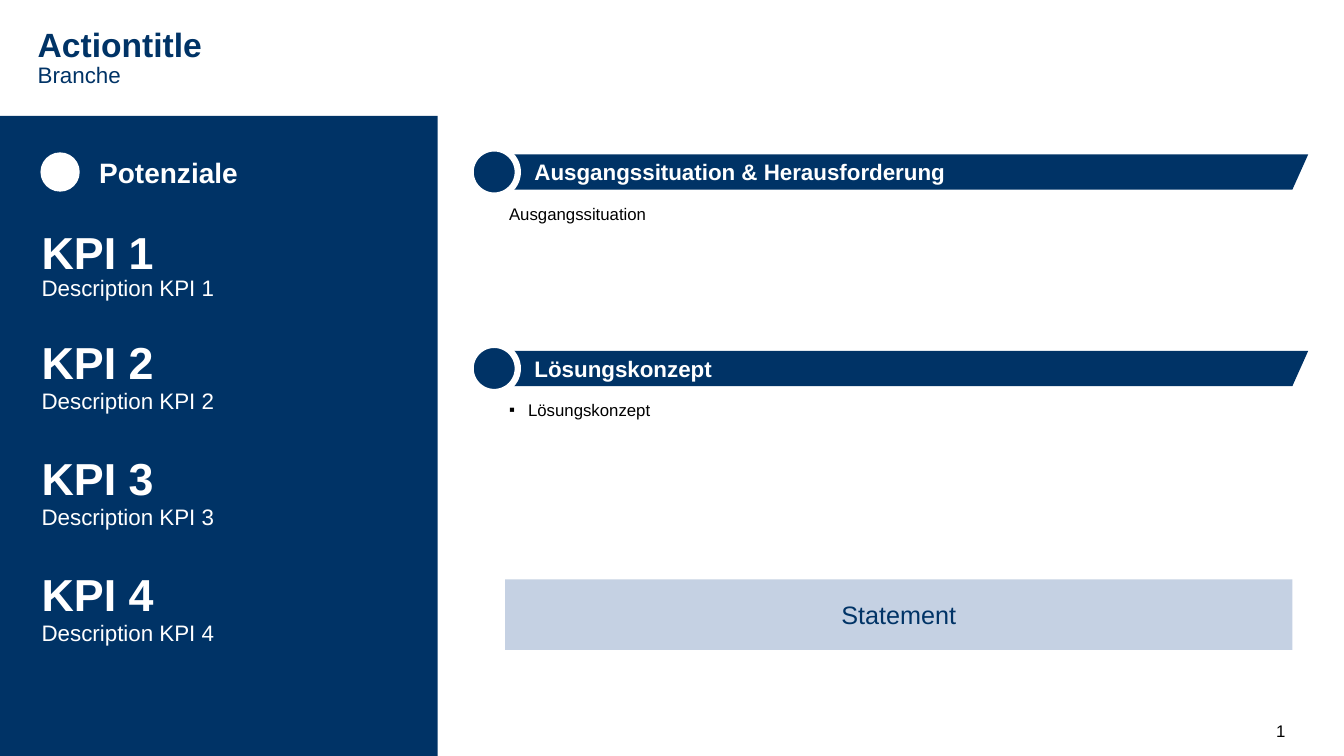
"""Build a one-page case summary with a KPI panel, two sections and a statement."""
from dataclasses import dataclass
from typing import Optional, Union

from lxml.etree import SubElement
from pptx import Presentation
from pptx.dml.color import RGBColor
from pptx.enum.shapes import MSO_SHAPE as Preset
from pptx.enum.text import MSO_ANCHOR as Anchor, PP_ALIGN as Align
from pptx.oxml.ns import qn
from pptx.shapes.autoshape import Shape
from pptx.slide import Slide
from pptx.util import Cm, Pt

COLORS = {"navy": "003366", "white": "FFFFFF", "black": "000000", "pale": "C5D1E3"}
KPI_COUNT = 4
KPI_PITCH = 2.92
CONTENT_LEFT, CONTENT_WIDTH = 12.73, 19.84


@dataclass(frozen=True)
class Area:
    left: float
    top: float
    width: float
    height: float

    def lengths(self) -> tuple:
        return Cm(self.left), Cm(self.top), Cm(self.width), Cm(self.height)


@dataclass(frozen=True)
class TextStyle:
    size: float
    color: str
    bold: bool = False
    align: Align = Align.LEFT
    anchor: Anchor = Anchor.TOP
    insets: tuple = (0, 0, 0, 0)
    spacing: Union[float, Pt] = 1.0
    wrap: bool = True


@dataclass(frozen=True)
class Section:
    heading: str
    body: str
    top: float
    body_height: float
    align: Align
    bullet: Optional[str] = None
    columns: int = 1


SECTIONS = (
    Section("Ausgangssituation & Herausforderung", "Ausgangssituation", 3.89, 0.91, Align.JUSTIFY),
    Section("Lösungskonzept", "Lösungskonzept", 8.84, 3.56, Align.LEFT, "▪", 2),
)


def rgb(name: str) -> RGBColor:
    return RGBColor.from_string(COLORS[name])


def write(box: Shape, text: str, style: TextStyle) -> None:
    frame = box.text_frame
    para = frame.paragraphs[0]
    span = para.add_run()
    span.text = text
    left, top, right, bottom = (Cm(inset) for inset in style.insets)
    formats = (
        (frame, {"word_wrap": style.wrap, "vertical_anchor": style.anchor,
                 "margin_left": left, "margin_top": top,
                 "margin_right": right, "margin_bottom": bottom}),
        (para, {"alignment": style.align, "line_spacing": style.spacing}),
        (span.font, {"name": "Arial", "size": Pt(style.size), "bold": style.bold}),
    )
    for target, values in formats:
        for attribute, value in values.items():
            setattr(target, attribute, value)
    span.font.color.rgb = rgb(style.color)


def add_text(page: Slide, area: Area, text: str, style: TextStyle) -> Shape:
    box = page.shapes.add_textbox(*area.lengths())
    write(box, text, style)
    return box


def add_block(page: Slide, preset: Preset, area: Area, fill: str) -> Shape:
    block = page.shapes.add_shape(preset, *area.lengths())
    block.shadow.inherit = False
    block.fill.solid()
    block.fill.fore_color.rgb = rgb(fill)
    block.line.fill.background()
    return block


def add_bullet(box: Shape, symbol: str) -> None:
    properties = box.text_frame.paragraphs[0]._p.get_or_add_pPr()
    properties.set("marL", str(Cm(0.48)))
    properties.set("indent", str(-Cm(0.48)))
    SubElement(properties, qn("a:buFont"), typeface="Arial")
    SubElement(properties, qn("a:buChar"), char=symbol)


def set_columns(box: Shape, count: int) -> None:
    body = box.text_frame._txBody.bodyPr
    body.set("numCol", str(count))
    body.set("spcCol", str(Cm(0.05)))


def add_section(page: Slide, section: Section) -> None:
    bar = add_block(page, Preset.PARALLELOGRAM, Area(12.47, section.top, 20.5, 0.89), "navy")
    bar.adjustments[0] = 0.449
    marker = add_block(page, Preset.OVAL, Area(11.86, section.top - 0.15, 1.19, 1.19), "navy")
    marker.line.color.rgb = rgb("white")
    marker.line.width = Pt(4.5)
    add_text(page, Area(12.47, section.top + 0.1, 17.96, 0.69), section.heading,
             TextStyle(16, "white", bold=True, insets=(1, 0, 0.25, 0)))
    body = add_text(page, Area(CONTENT_LEFT, section.top + 0.89, CONTENT_WIDTH, section.body_height),
                    section.body, TextStyle(12, "black", align=section.align,
                                            insets=(0.1, 0.25, 0.1, 0.1), spacing=Pt(17)))
    if section.bullet:
        add_bullet(body, section.bullet)
    if section.columns > 1:
        set_columns(body, section.columns)


def add_kpi(page: Slide, index: int) -> None:
    offset = index * KPI_PITCH
    spacing = 0.9 if index else 1.0
    name = f"KPI {index + 1}"
    add_text(page, Area(0.95, 5.67 + offset, 10.08, 1.24), name,
             TextStyle(32, "white", bold=True, insets=(0.1, 0, 0.1, 0), spacing=spacing))
    add_text(page, Area(0.95, 6.91 + offset, 10.08, 1.68), f"Description {name}",
             TextStyle(16, "white", insets=(0.1, 0, 0.1, 0.3), spacing=spacing))


def main() -> None:
    deck = Presentation()
    deck.slide_width, deck.slide_height = Cm(33.87), Cm(19.05)
    page = deck.slides.add_slide(deck.slide_layouts[6])

    add_text(page, Area(0.95, 0, 32, 1.63), "Actiontitle",
             TextStyle(24, "navy", bold=True, anchor=Anchor.BOTTOM, spacing=0.9))
    add_text(page, Area(0.95, 1.63, 32, 0.91), "Branche", TextStyle(16, "navy", spacing=0.9))

    panel = add_block(page, Preset.RECTANGLE, Area(0, 2.92, 11.03, 16.13), "navy")
    write(panel, "Potenziale", TextStyle(20, "white", bold=True, insets=(2.5, 1, 0.25, 0.13)))
    add_block(page, Preset.OVAL, Area(1.02, 3.84, 0.99, 0.99), "white")
    for index in range(KPI_COUNT):
        add_kpi(page, index)

    for section in SECTIONS:
        add_section(page, section)

    statement = add_block(page, Preset.RECTANGLE,
                          Area(CONTENT_LEFT, 14.6, CONTENT_WIDTH, 1.78), "pale")
    write(statement, "Statement", TextStyle(18, "navy", align=Align.CENTER, anchor=Anchor.MIDDLE,
                                            insets=(1, 0.5, 1, 0.5)))
    add_text(page, Area(31.6, 18.03, 1.35, 0.76), "1",
             TextStyle(12, "black", align=Align.CENTER, anchor=Anchor.MIDDLE,
                       insets=(0.25, 0.13, 0.25, 0.13), wrap=False))
    deck.save("out.pptx")


if __name__ == "__main__":
    main()
